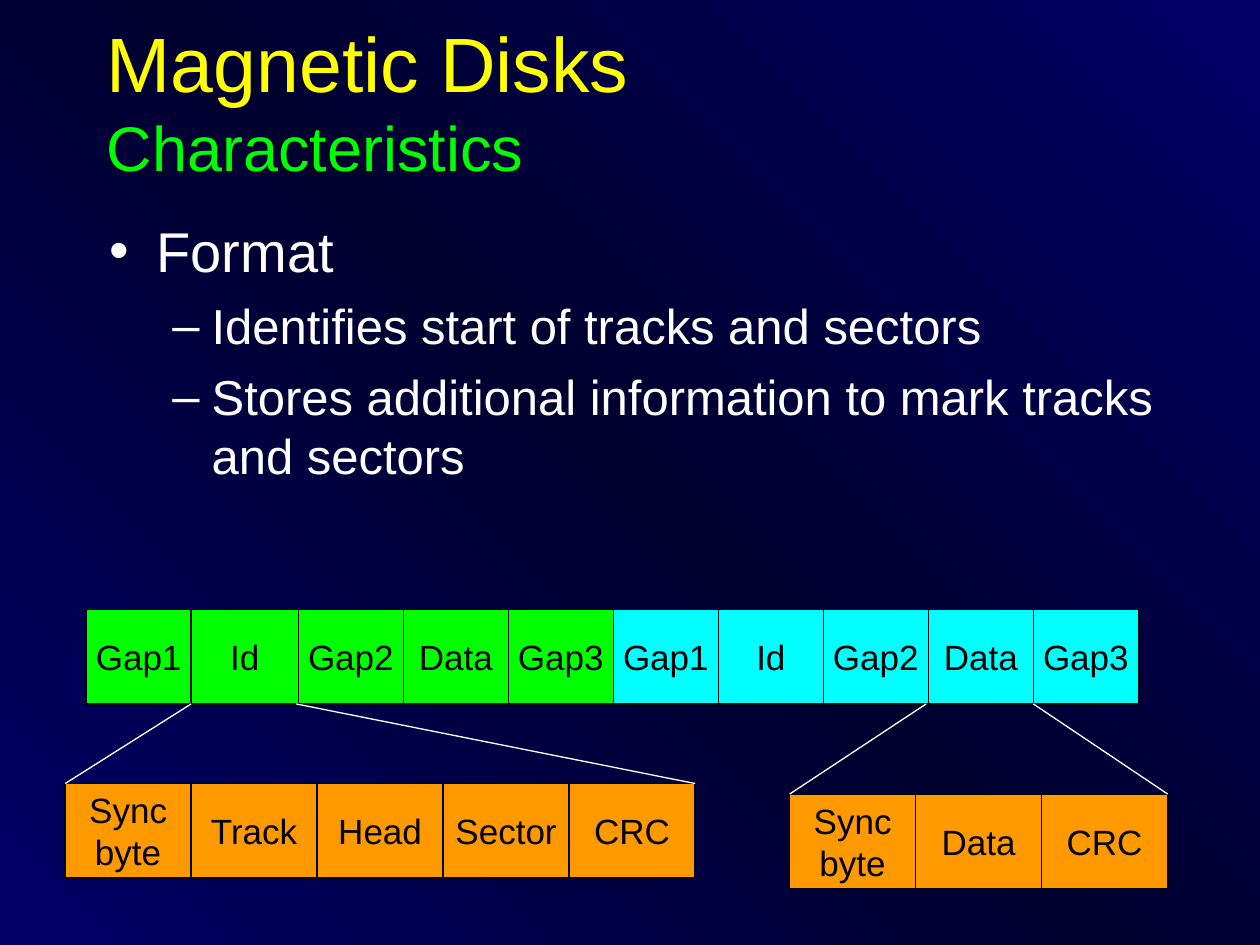
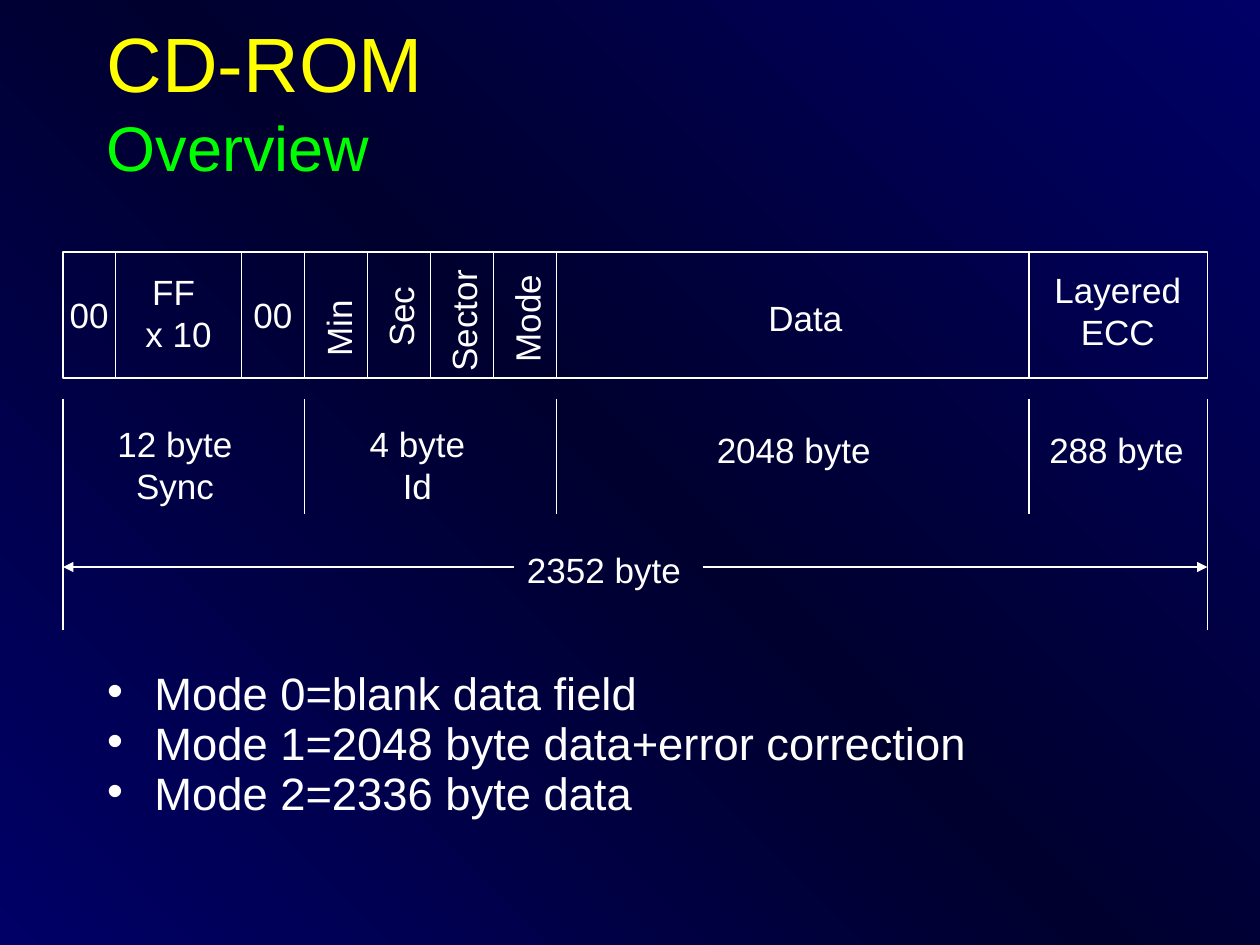
from copy import deepcopy
from dataclasses import dataclass
from itertools import accumulate

from lxml import etree
from pptx import Presentation
from pptx.dml.color import RGBColor
from pptx.enum.shapes import MSO_CONNECTOR, MSO_SHAPE
from pptx.enum.text import MSO_ANCHOR, MSO_AUTO_SIZE, PP_ALIGN
from pptx.oxml.ns import qn
from pptx.util import Pt

LEFT, CENTER = PP_ALIGN.LEFT, PP_ALIGN.CENTER
TOP, MIDDLE = MSO_ANCHOR.TOP, MSO_ANCHOR.MIDDLE
FIXED, GROW = MSO_AUTO_SIZE.NONE, MSO_AUTO_SIZE.SHAPE_TO_FIT_TEXT
RECT, STRAIGHT = MSO_SHAPE.RECTANGLE, MSO_CONNECTOR.STRAIGHT


# Shared look
@dataclass(frozen=True)
class Theme:
    font: str = "Arial"
    white: RGBColor = RGBColor(0xFF, 0xFF, 0xFF)
    black: RGBColor = RGBColor(0x00, 0x00, 0x00)
    yellow: RGBColor = RGBColor(0xFF, 0xFF, 0x00)
    green: RGBColor = RGBColor(0x00, 0xFF, 0x00)
    cyan: RGBColor = RGBColor(0x00, 0xFF, 0xFF)
    orange: RGBColor = RGBColor(0xFF, 0x99, 0x00)
    navy: RGBColor = RGBColor(0x00, 0x00, 0x66)
    midnight: RGBColor = RGBColor(0x00, 0x00, 0x2F)
    title: float = 44
    subtitle: float = 36
    bullet: float = 32
    dash: float = 28
    mode: float = 25.9
    label: float = 20
    line: float = 0.75


T = Theme()


@dataclass(frozen=True)
class Cell:
    text: str
    width: float
    fill: RGBColor | None = None


@dataclass(frozen=True)
class Label:
    text: str
    left: float
    top: float
    width: float
    align: PP_ALIGN = LEFT
    rotation: float = 0


@dataclass(frozen=True)
class Line:
    x1: float
    y1: float
    x2: float
    y2: float
    arrow: bool = False


@dataclass(frozen=True)
class Item:
    text: str
    size: float
    before: float
    level: int = 0
    spacing: float | None = None


INDENTS = [(27, -27), (58.5, -22.5)]  # margin and first line, by level


def set_font(font, size: float, color: RGBColor) -> None:
    font.name, font.size = T.font, Pt(size)
    font.color.rgb = color


def place(sp, left: float, top: float, width: float, height: float) -> None:
    sp.left, sp.top, sp.width, sp.height = map(Pt, (left, top, width, height))


def paint_background(master) -> None:
    fill = master.background.fill
    fill.gradient()
    fill.gradient_angle = 225
    first = master.element.find(".//" + qn("a:gsLst"))[0]
    first.addnext(deepcopy(first))
    stops = zip(fill.gradient_stops, (0, 0.5, 1), (T.navy, T.midnight, T.navy))
    for stop, position, color in stops:
        stop.position = position
        stop.color.rgb = color


def add_titled_slide(prs, title: str, subtitle: str):
    s = prs.slides.add_slide(prs.slide_layouts[1])
    sp = s.shapes.title
    place(sp, 53.75, 12, 612, 90)
    tf = sp.text_frame
    tf.auto_size, tf.vertical_anchor = FIXED, MIDDLE
    p = tf.paragraphs[0]
    p.alignment = LEFT
    r = p.add_run()
    r.text = title
    set_font(r.font, T.title, T.yellow)
    p.add_line_break()
    r = p.add_run()
    r.text = subtitle
    set_font(r.font, T.subtitle, T.green)
    return s


def fill_body(s, box: tuple[float, float, float, float], items: list[Item]) -> None:
    sp = s.placeholders[1]
    place(sp, *box)
    tf = sp.text_frame
    tf.text = "\n".join(item.text for item in items)
    tf.auto_size, tf.vertical_anchor = FIXED, TOP
    for p, item in zip(tf.paragraphs, items):
        p.level = item.level
        p.space_before = Pt(item.before)
        p.line_spacing = item.spacing
        set_font(p.font, item.size, T.white)
        margin, first = INDENTS[item.level]
        pPr = p._p.get_or_add_pPr()
        pPr.set("marL", str(Pt(margin)))
        pPr.set("indent", str(Pt(first)))


def write_label(tf, text: str, align: PP_ALIGN, color: RGBColor) -> None:
    tf.word_wrap = False
    tf.text = text
    for p in tf.paragraphs:
        p.alignment = align
        set_font(p.font, T.label, color)


def draw_strip(s, left: float, top: float, height: float, cells: list[Cell]) -> None:
    """Draw touching boxes from left to right; unfilled ones are outlined in white."""
    lefts = accumulate((c.width for c in cells), initial=left)
    for x, cell in zip(lefts, cells):
        sp = s.shapes.add_shape(RECT, Pt(x), Pt(top), Pt(cell.width), Pt(height))
        sp.shadow.inherit = False
        sp.line.width = Pt(T.line)
        ink = T.black if cell.fill else T.white
        sp.line.color.rgb = ink
        if cell.fill:
            sp.fill.solid()
            sp.fill.fore_color.rgb = cell.fill
        else:
            sp.fill.background()
        if cell.text:
            sp.text_frame.vertical_anchor = MIDDLE
            write_label(sp.text_frame, cell.text, CENTER, ink)


def draw_label(s, label: Label) -> None:
    height = 7.7 + 24 * len(label.text.splitlines())
    sp = s.shapes.add_textbox(Pt(label.left), Pt(label.top), Pt(label.width), Pt(height))
    sp.rotation = label.rotation
    write_label(sp.text_frame, label.text, label.align, T.white)
    sp.text_frame.auto_size = GROW


def draw_line(s, line: Line) -> None:
    ends = map(Pt, (line.x1, line.y1, line.x2, line.y2))
    cx = s.shapes.add_connector(STRAIGHT, *ends)
    cx.line.color.rgb = T.white
    cx.line.width = Pt(T.line)
    if line.arrow:
        ln = cx.line._get_or_add_ln()
        etree.SubElement(ln, qn("a:tailEnd"), type="triangle")
    etree.SubElement(cx._element.spPr, qn("a:effectLst"))


def build_disk_format(prs) -> None:
    s = add_titled_slide(prs, "Magnetic Disks", "Characteristics")
    fill_body(s, (55.25, 120, 612, 228), [
        Item("Format", T.bullet, 8),
        Item("Identifies start of tracks and sectors", T.dash, 7, 1),
        Item("Stores additional information to mark tracks and sectors", T.dash, 7, 1),
    ])

    # Two sectors of a track
    fields = ["Gap1", "Id", "Gap2", "Data", "Gap3"]
    first_widths = [60, 61.25, 60, 60, 60]
    track = [Cell(f, w, T.green) for f, w in zip(fields, first_widths)]
    track += [Cell(f, 60, T.cyan) for f in fields]
    draw_strip(s, 49.25, 348.25, 54, track)

    # Id and data fields in detail, with the lines that open them up
    details = [
        (37.25, 447.75, ["Sync\vbyte", "Track", "Head", "Sector", "CRC"], 109.25, 169.25),
        (451.25, 453.75, ["Sync\vbyte", "Data", "CRC"], 529.25, 590.5),
    ]
    for left, top, parts, zoom_left, zoom_right in details:
        draw_strip(s, left, top, 54, [Cell(part, 72, T.orange) for part in parts])
        draw_line(s, Line(zoom_left, 402.25, left, top))
        draw_line(s, Line(zoom_right, 402.25, left + 72 * len(parts), top))


def build_cd_rom(prs) -> None:
    s = add_titled_slide(prs, "CD-ROM", "Overview")
    fill_body(s, (54, 384.75, 612, 95), [
        Item(text, T.mode, 7, spacing=0.7) for text in (
            "Mode 0=blank data field",
            "Mode 1=2048 byte data+error correction",
            "Mode 2=2336 byte data",
        )
    ])

    # Sector frame
    start, end = 36, 690
    frame = [Cell("00", 30), Cell("", 72), Cell("00", 36)]
    frame += [Cell("", 36)] * 4 + [Cell("", 270), Cell("", 102)]
    draw_strip(s, start, 144, 72, frame)

    # Field names and sizes, each box a little wider than its text
    for label in (
        Label("FF \nx 10", 74, 150.75, 56, CENTER),
        Label("Min", 168, 169.5, 51, rotation=270),
        Label("Sec", 202.5, 163, 53, rotation=270),
        Label("Sector", 227, 165.5, 76, rotation=270),
        Label("Mode", 267.25, 164.25, 68, rotation=270),
        Label("Data", 432, 166, 61),
        Label("Layered\nECC", 593.5, 150, 90.5, CENTER),
        Label("12 byte\nSync", 58, 238, 84, CENTER),
        Label("4 byte\nId", 202, 238, 73, CENTER),
        Label("2048 byte", 402.5, 241.5, 106),
        Label("288 byte", 592.5, 241.5, 96),
        Label("2352 byte", 294, 310, 106),
    ):
        draw_label(s, label)

    # Dividers, outer limits and the total length
    for x in (start, 174, 318, 588, end):
        draw_line(s, Line(x, 228, x, 294))
    for x, inner in ((start, 294), (end, 402)):
        draw_line(s, Line(x, 294, x, 360))
        draw_line(s, Line(inner, 324, x, 324, arrow=True))


def main() -> None:
    prs = Presentation()
    prs.slide_width, prs.slide_height = Pt(720), Pt(540)
    paint_background(prs.slide_master)
    build_disk_format(prs)
    build_cd_rom(prs)
    prs.save("out.pptx")


if __name__ == "__main__":
    main()
